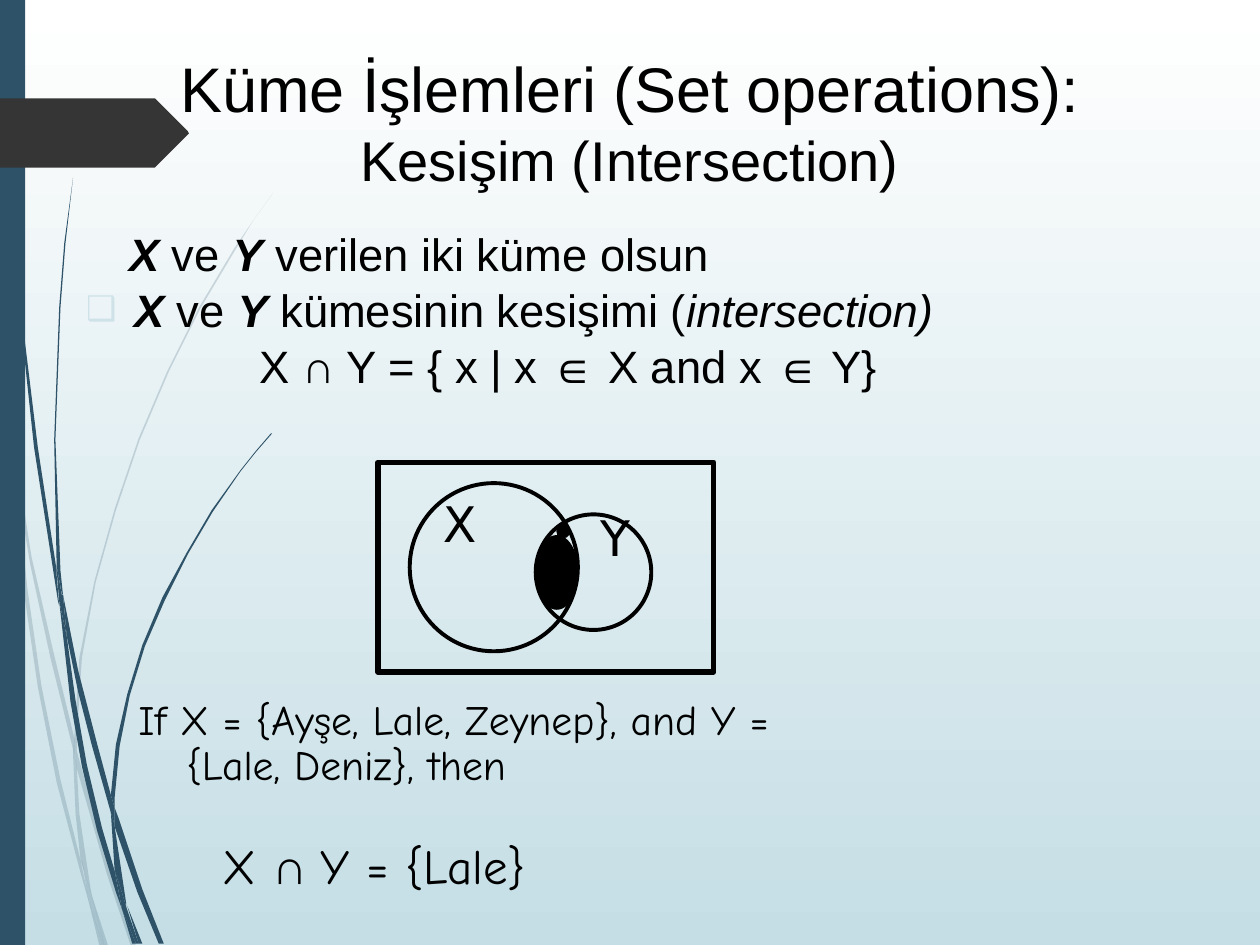
from dataclasses import dataclass, field
from typing import Any, NamedTuple, Optional

from lxml.etree import SubElement
from pptx import Presentation
from pptx.dml.color import RGBColor
from pptx.enum.shapes import MSO_SHAPE as Preset
from pptx.enum.text import MSO_ANCHOR as Anchor, MSO_AUTO_SIZE as AutoSize, PP_ALIGN as Align
from pptx.oxml.ns import qn
from pptx.util import Cm, Pt

COLOURS = {"ink": "000000", "stem": "2E5369", "arrow": "353535",
           "bullet": "CFE2E7", "sky": "FFFFFF", "ground": "C5DEE5"}
# Outline points are in hundredths of an inch.
OUTLINE_UNIT = Cm(2.54) / 100
HANG = 0.97


class Box(NamedTuple):
    """Left, top, width and height in centimetres."""
    left: float
    top: float
    width: float
    height: float

    def lengths(self) -> list[Cm]:
        """Return the four values as lengths."""
        return [Cm(value) for value in self]


@dataclass
class Span:
    """A stretch of text with its font values."""
    text: str
    size: float
    font: str = "Arial"
    style: dict[str, Any] = field(default_factory=dict)


@dataclass
class Line:
    """A paragraph: its spans, paragraph values, indents in cm and bullet."""
    spans: list[Span]
    layout: dict[str, Any] = field(default_factory=dict)
    margin: float = 0
    hang: float = 0
    bullet: Optional[str] = None


@dataclass
class Figure:
    """A preset shape of the diagram."""
    preset: Any
    box: Box
    line_width: float
    filled: bool = False


@dataclass
class Label:
    """A text box."""
    box: Box
    line: Line


FAINT_GRASS = [
    [(8, 350), (6, 322), (0, 282), (0, 299), (7, 344)],
    [(40, 522), (59, 599), (59, 586), (43, 520), (25, 442), (10, 345), (12, 376), (24, 448)],
    [(64, 607), (61, 596), (61, 610), (85, 694), (104, 751), (108, 751), (88, 692)],
    [(83, 751), (86, 751), (73, 711)],
    [(64, 683), (48, 619), (33, 545), (22, 469), (12, 376), (8, 350), (12, 410), (19, 470),
     (30, 545), (45, 621), (64, 693), (70, 714), (69, 707)],
    [(58, 599), (60, 646), (64, 683), (67, 692), (73, 711), (72, 706), (63, 646), (61, 610), (61, 608)],
    [(61, 584), (65, 522), (76, 462), (92, 405), (111, 349), (134, 295), (159, 245), (187, 198),
     (201, 175), (217, 153), (201, 175), (186, 197), (158, 244), (133, 294), (110, 348),
     (91, 404), (75, 461), (63, 522), (59, 584), (59, 586), (61, 596)],
    [(70, 714), (79, 751), (82, 751)],
    [(61, 608), (61, 610), (61, 596), (59, 586), (58, 599)],
    [(67, 692), (65, 683), (69, 707), (70, 714), (82, 751), (83, 751), (73, 711)],
]
BOLD_GRASS = [
    [(5, 110), (14, 233), (27, 355), (46, 477), (47, 481), (45, 457), (45, 453), (30, 355),
     (15, 232), (6, 109), (4, 48), (3, 0), (2, 0), (3, 48)],
    [(73, 592), (88, 645), (88, 633), (88, 631), (77, 590), (62, 532), (50, 472), (53, 505), (62, 549)],
    [(94, 649), (91, 641), (91, 656), (109, 708), (126, 749), (130, 749), (113, 706)],
    [(91, 691), (81, 657), (69, 607), (60, 556), (53, 505), (47, 477), (56, 557), (65, 608),
     (77, 659), (92, 708), (97, 722), (96, 717)],
    [(50, 472), (48, 453), (44, 349), (48, 244), (52, 193), (58, 141), (51, 193), (47, 244),
     (43, 349), (45, 449), (49, 471)],
    [(110, 749), (113, 749), (101, 719)],
    [(47, 477), (53, 505), (50, 472), (49, 472), (45, 449), (45, 453)],
    [(91, 633), (95, 592), (103, 552), (115, 513), (131, 476), (149, 440), (169, 406), (191, 374),
     (203, 359), (216, 344), (215, 344), (203, 358), (191, 373), (168, 405), (148, 439),
     (129, 474), (113, 512), (101, 551), (92, 591), (88, 631), (91, 641)],
    [(97, 722), (105, 749), (108, 749)],
    [(88, 645), (91, 691), (96, 706), (100, 719), (100, 716), (91, 656), (90, 651)],
    [(88, 645), (90, 651), (91, 656), (91, 641), (88, 631), (88, 633)],
    [(96, 706), (91, 691), (96, 717), (97, 722), (108, 749), (110, 749), (100, 719)],
]
ARROW = [(149, 107), (124, 132), (123, 133), (121, 133), (0, 133), (0, 78), (121, 78),
         (123, 78), (124, 79), (149, 104), (150, 106)]

EM = {"bold": True, "italic": True}
BODY_SIZE = 25.9
BODY_SPACING = {"line_spacing": 0.8, "space_before": Pt(7)}


def set_pair(ending: list[Span]) -> list[Span]:
    """Return the words "X ve Y" followed by the given ending."""
    return [Span("X", BODY_SIZE, style=EM), Span(" ve ", BODY_SIZE),
            Span("Y", BODY_SIZE, style=EM), *ending]


HEADING = Line([Span("Küme İşlemleri (Set operations):\v", 36), Span("Kesişim (Intersection)", 32)],
               {"alignment": Align.CENTER, "space_before": Pt(0)})
DEFINITION = [
    Line(set_pair([Span(" verilen iki küme olsun", BODY_SIZE)]), BODY_SPACING, 0.87),
    Line(set_pair([Span(" kümesinin kesişimi (", BODY_SIZE),
                   Span("intersection)", BODY_SIZE, style={"italic": True})]),
         BODY_SPACING, HANG, HANG, "❑"),
    Line([Span("X ∩ Y = { x | x ∈ X and x ∈ Y}", BODY_SIZE)], BODY_SPACING, 3.5),
]
DOTS = [(11.23, 11.43), (11, 11.86), (11.23, 10.59), (11, 11), (11, 11.4)]
VENN = [
    Figure(Preset.RECTANGLE, Box(7.62, 9.32, 6.77, 4.23), 3),
    Figure(Preset.OVAL, Box(8.26, 9.74, 3.39, 3.39), 2.24),
    Label(Box(11.85, 10.33, 1.06, 1.27), Line([Span("Y", 28, "DejaVu Sans")], {"line_spacing": 0.8})),
    Figure(Preset.OVAL, Box(10.8, 10.8, 0.85, 1.48), 0.74, True),
    *[Figure(Preset.OVAL, Box(left, top, 0.25, 0.25), 0.74, True) for left, top in DOTS],
    Label(Box(8.68, 9.95, 1.27, 1.48), Line([Span("X", 28, "DejaVu Sans")], {"line_spacing": 0.9})),
    Figure(Preset.OVAL, Box(10.8, 10.37, 2.33, 2.33), 2.24),
]
EXAMPLE = [
    Label(Box(2.54, 13.97, 13.97, 2.33),
          Line([Span("If X = {Ayşe, Lale, Zeynep}, and Y = {Lale, Deniz}, then", 23.8, "Comic Neue")],
               {"line_spacing": 0.9, "space_before": Pt(7)}, HANG, HANG)),
    Label(Box(4.23, 16.72, 16.72, 1.48),
          Line([Span("X ", 28, "Comic Neue"), Span("∩ ", 28), Span("Y = {Lale}", 28, "Comic Neue")],
               {"space_before": Pt(7)}, HANG, HANG)),
]


def rgb(name: str) -> RGBColor:
    """Look up a named colour."""
    return RGBColor.from_string(COLOURS[name])


def apply(target: Any, values: dict[str, Any]) -> None:
    """Set each named attribute of the target."""
    for name, value in values.items():
        setattr(target, name, value)


def write_line(paragraph: Any, line: Line) -> None:
    """Fill one paragraph with formatted spans."""
    apply(paragraph, line.layout)
    props = paragraph._p.get_or_add_pPr()
    props.set("marL", str(Cm(line.margin)))
    props.set("indent", str(-Cm(line.hang)))
    if line.bullet:
        SubElement(SubElement(props, qn("a:buClr")), qn("a:srgbClr"), val=COLOURS["bullet"])
        SubElement(props, qn("a:buSzPct"), val="75000")
        SubElement(props, qn("a:buChar"), char=line.bullet)
    else:
        SubElement(props, qn("a:buNone"))
    for span in line.spans:
        run = paragraph.add_run()
        run.text = span.text.rstrip("\v")
        apply(run.font, {"size": Pt(span.size), "name": span.font, "bold": False, "italic": False}
              | span.style)
        run.font.color.rgb = rgb("ink")
        if span.text.endswith("\v"):
            paragraph.add_line_break()


def write_text(holder: Any, box: Box, lines: list[Line], anchor: Any = Anchor.TOP) -> None:
    """Place a text holder and write its paragraphs."""
    apply(holder, dict(zip(("left", "top", "width", "height"), box.lengths())))
    frame = holder.text_frame
    apply(frame, {"word_wrap": True, "auto_size": AutoSize.NONE, "vertical_anchor": anchor})
    for index, line in enumerate(lines):
        write_line(frame.add_paragraph() if index else frame.paragraphs[0], line)


def paint(shape: Any, colour: str, opacity: int = 100) -> None:
    """Give a shape a plain fill without line or shadow."""
    shape.shadow.inherit = False
    shape.line.fill.background()
    shape.fill.solid()
    shape.fill.fore_color.rgb = rgb(colour)
    if opacity < 100:
        tint = shape.fill._xPr.find(qn("a:solidFill"))[0]
        SubElement(tint, qn("a:alpha"), val=str(opacity * 1000))


def draw_outline(shapes: Any, points: list[tuple[int, int]], colour: str, opacity: int = 100) -> None:
    """Draw a closed outline."""
    builder = shapes.build_freeform(*points[0], scale=OUTLINE_UNIT)
    builder.add_line_segments(points[1:], close=True)
    paint(builder.convert_to_shape(), colour, opacity)


def draw_part(shapes: Any, part: Figure | Label) -> None:
    """Draw a figure or a label."""
    if isinstance(part, Label):
        write_text(shapes.add_textbox(*part.box.lengths()), part.box, [part.line])
        return
    shape = shapes.add_shape(part.preset, *part.box.lengths())
    paint(shape, "ink")
    if not part.filled:
        shape.fill.background()
    shape.line.color.rgb = rgb("ink")
    shape.line.width = Pt(part.line_width)


def build() -> None:
    """Build the slide and save it."""
    deck = Presentation()
    deck.slide_width, deck.slide_height = Cm(25.4), Cm(19.05)
    slide = deck.slides.add_slide(deck.slide_layouts[1])
    shapes = slide.shapes
    backdrop = slide.background.fill
    backdrop.gradient()
    backdrop.gradient_angle = 270
    for stop, colour in zip(backdrop.gradient_stops, ("sky", "ground")):
        stop.color.rgb = rgb(colour)

    for blades, opacity in ((FAINT_GRASS, 20), (BOLD_GRASS, 100)):
        grass = shapes.add_group_shape().shapes
        for blade in blades:
            draw_outline(grass, blade, "stem", opacity)
    paint(shapes.add_shape(Preset.RECTANGLE, *Box(0, 0, 0.51, 19.05).lengths()), "stem")
    draw_outline(shapes, ARROW, "arrow")

    title, body = shapes.title, slide.placeholders[1]
    write_text(body, Box(1.48, 4.65, 22.65, 4.65), DEFINITION)
    write_text(title, Box(1.27, 0.76, 22.86, 3.25), [HEADING], Anchor.BOTTOM)
    for holder in (body, title):
        shapes.element.append(holder.element)

    venn = shapes.add_group_shape().shapes
    for part in VENN:
        draw_part(venn, part)
    for label in EXAMPLE:
        draw_part(shapes, label)
    deck.save("out.pptx")


build()
